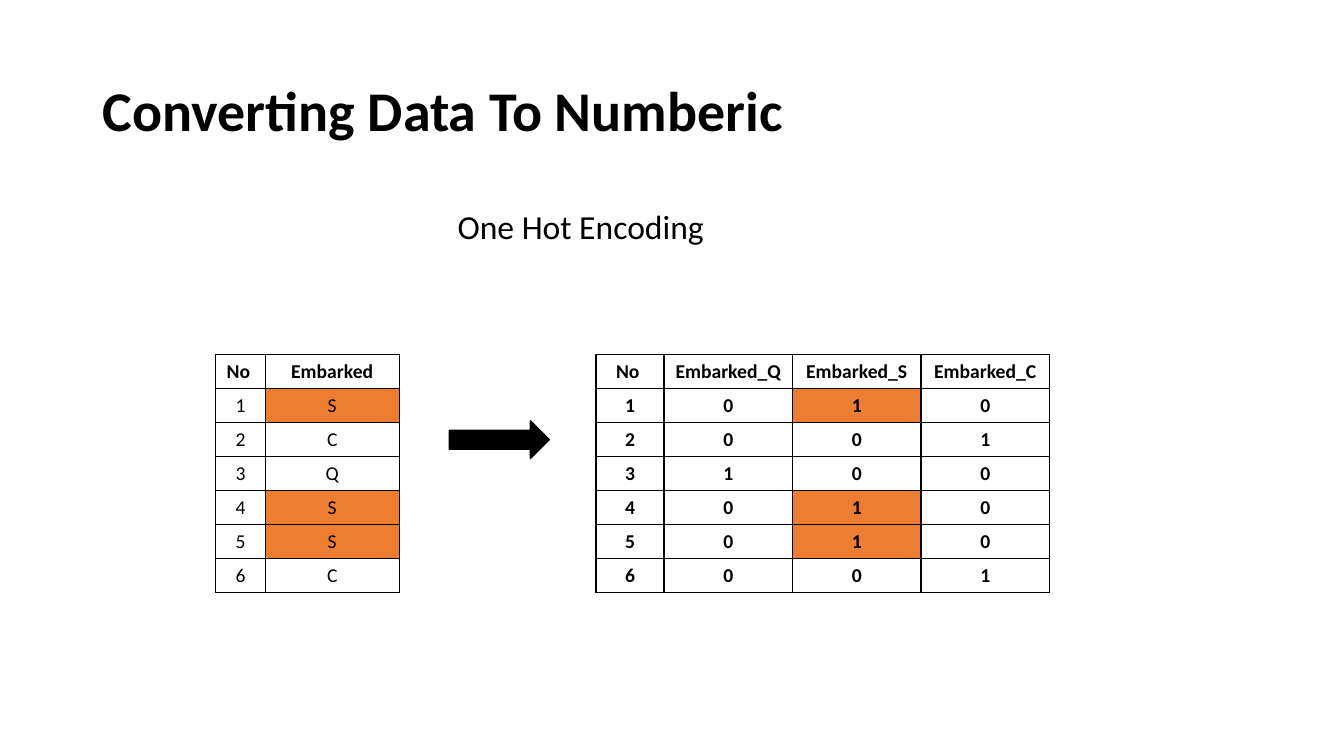
from dataclasses import dataclass

from lxml import etree
from pptx import Presentation
from pptx.dml.color import RGBColor
from pptx.enum.shapes import MSO_SHAPE
from pptx.enum.text import MSO_ANCHOR, PP_ALIGN
from pptx.oxml.ns import qn
from pptx.util import Inches, Pt

RIGHT_ARROW = MSO_SHAPE.RIGHT_ARROW
MIDDLE = MSO_ANCHOR.MIDDLE
LEFT, CENTER = PP_ALIGN.LEFT, PP_ALIGN.CENTER
TITLE_ONLY = 5


@dataclass(frozen=True)
class Theme:
    font: str = "Calibri"
    ink: RGBColor = RGBColor(0, 0, 0)
    paper: RGBColor = RGBColor(255, 255, 255)
    highlight: RGBColor = RGBColor(0xED, 0x7D, 0x31)
    title_size: int = 40
    subtitle_size: int = 24
    table_size: int = 14
    line: float = 1


@dataclass(frozen=True)
class Box:
    left: float
    top: float
    width: float
    height: float

    def inner_box(self, left, top, width, height):
        return Box(self.left + left * self.width, self.top + top * self.height,
                   width * self.width, height * self.height)

    def lengths(self):
        return [Inches(value) for value in (self.left, self.top, self.width, self.height)]


THEME = Theme()
SLIDE = Box(0, 0, 13.33, 7.5)
PORTS = ["S", "C", "Q", "S", "S", "C"]
CATEGORIES = ["Q", "S", "C"]
HIGHLIGHTED_PORT = "S"


def format_text(text_frame, size, bold=False, align=LEFT):
    for paragraph in text_frame.paragraphs:
        paragraph.alignment = align
        for run in paragraph.runs:
            run.font.name = THEME.font
            run.font.size = Pt(size)
            run.font.bold = bold
            run.font.color.rgb = THEME.ink


def add_title(slide, box, text):
    title = slide.shapes.title
    title.left, title.top, title.width, title.height = box.lengths()
    title.text_frame.text = text
    title.text_frame.vertical_anchor = MIDDLE
    title.text_frame.paragraphs[0].line_spacing = 0.9
    format_text(title.text_frame, THEME.title_size, bold=True)


def add_subtitle(slide, box, text):
    subtitle = slide.shapes.add_textbox(*box.lengths())
    subtitle.text_frame.word_wrap = True
    subtitle.text_frame.text = text
    format_text(subtitle.text_frame, THEME.subtitle_size)


def add_borders(cell):
    properties = cell._tc.get_or_add_tcPr()
    for position, side in enumerate(("a:lnL", "a:lnR", "a:lnT", "a:lnB")):
        border = etree.Element(qn(side), w=str(Pt(THEME.line)))
        fill = etree.SubElement(border, qn("a:solidFill"))
        etree.SubElement(fill, qn("a:srgbClr"), val=str(THEME.ink))
        properties.insert(position, border)


def add_grid(slide, box, rows, column_shares, highlighted, bold_body):
    table = slide.shapes.add_table(len(rows), len(column_shares), *box.lengths()).table
    table.first_row = table.horz_banding = False
    for column, share in zip(table.columns, column_shares):
        column.width = Inches(box.width * share)
    for row_number, values in enumerate(rows):
        table.rows[row_number].height = Inches(box.height / len(rows))
        for column_number, value in enumerate(values):
            cell = table.cell(row_number, column_number)
            cell.margin_left = cell.margin_right = Inches(0.07)
            cell.text_frame.text = value
            format_text(cell.text_frame, THEME.table_size, row_number == 0 or bold_body, CENTER)
            cell.fill.solid()
            marked = (row_number, column_number) in highlighted
            cell.fill.fore_color.rgb = THEME.highlight if marked else THEME.paper
            add_borders(cell)


def add_arrow(slide, box):
    arrow = slide.shapes.add_shape(RIGHT_ARROW, *box.lengths())
    arrow.shadow.inherit = False
    arrow.fill.solid()
    arrow.fill.fore_color.rgb = THEME.ink
    arrow.line.color.rgb = THEME.ink
    arrow.line.width = Pt(THEME.line)


def add_encoding(slide, box):
    numbered = list(enumerate(PORTS, start=1))
    labels = [["No ", "Embarked"]] + [[str(number), port] for number, port in numbered]
    encoded = [["No "] + [f"Embarked_{category}" for category in CATEGORIES]]
    encoded += [[str(number)] + [str(int(port == category)) for category in CATEGORIES]
                for number, port in numbered]
    marked_rows = [number for number, port in numbered if port == HIGHLIGHTED_PORT]
    marked_column = CATEGORIES.index(HIGHLIGHTED_PORT) + 1

    add_grid(slide, box.inner_box(0, 0, 0.22, 1), labels, [0.27, 0.73],
             {(row, 1) for row in marked_rows}, bold_body=False)
    add_arrow(slide, box.inner_box(0.28, 0.28, 0.12, 0.16))
    add_grid(slide, box.inner_box(0.456, 0, 0.544, 1), encoded, [0.15] + [0.85 / 3] * 3,
             {(row, marked_column) for row in marked_rows}, bold_body=True)


def main():
    presentation = Presentation()
    presentation.slide_width = Inches(SLIDE.width)
    presentation.slide_height = Inches(SLIDE.height)
    slide = presentation.slides.add_slide(presentation.slide_layouts[TITLE_ONLY])
    add_title(slide, Box(0.92, 0.4, 11.5, 1.45), "Converting Data To Numberic")
    add_encoding(slide, Box(2.14, 3.52, 8.27, 2.34))
    add_subtitle(slide, Box(4.44, 1.99, 2.78, 0.5), "One Hot Encoding")
    presentation.save("out.pptx")


main()
